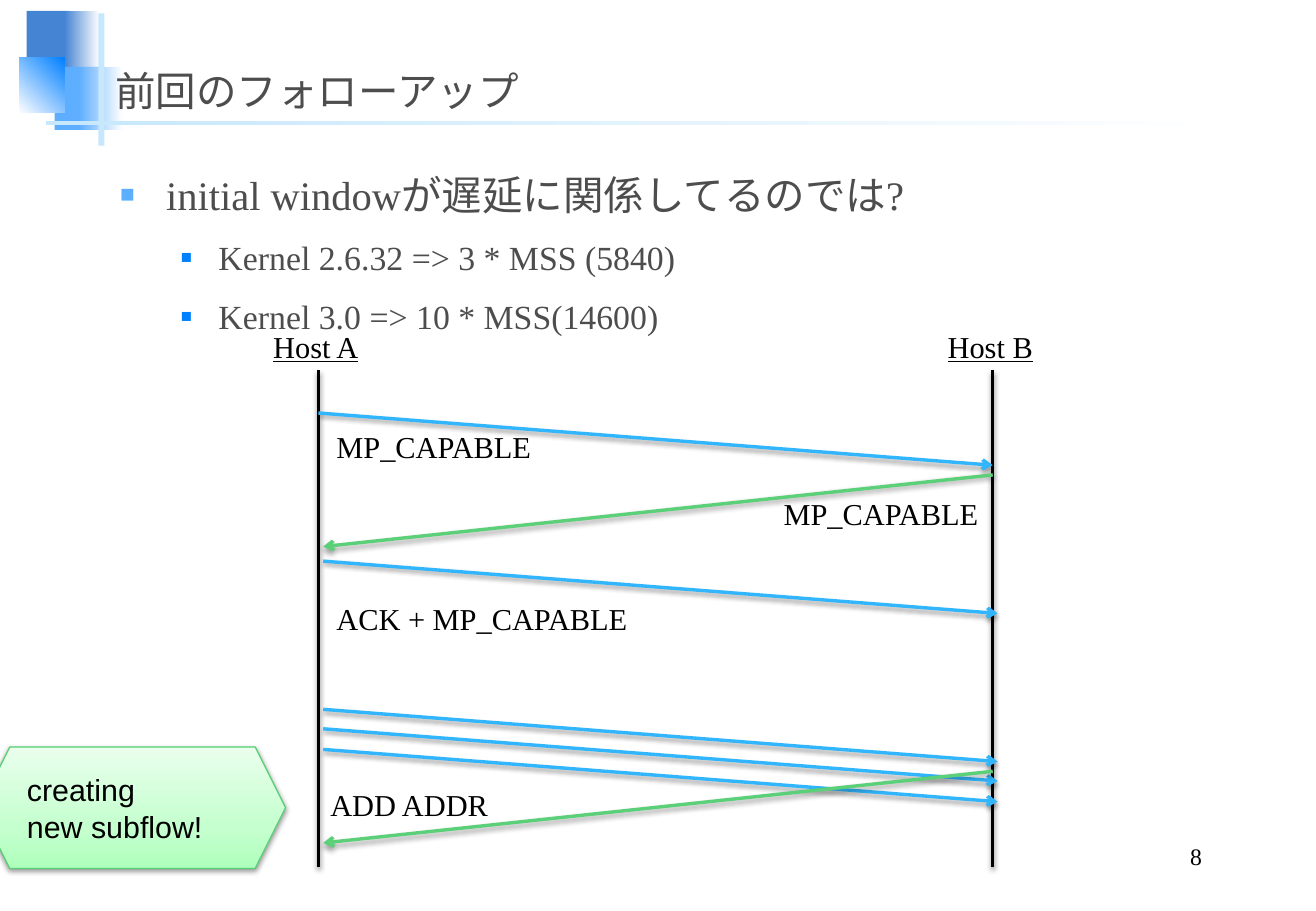
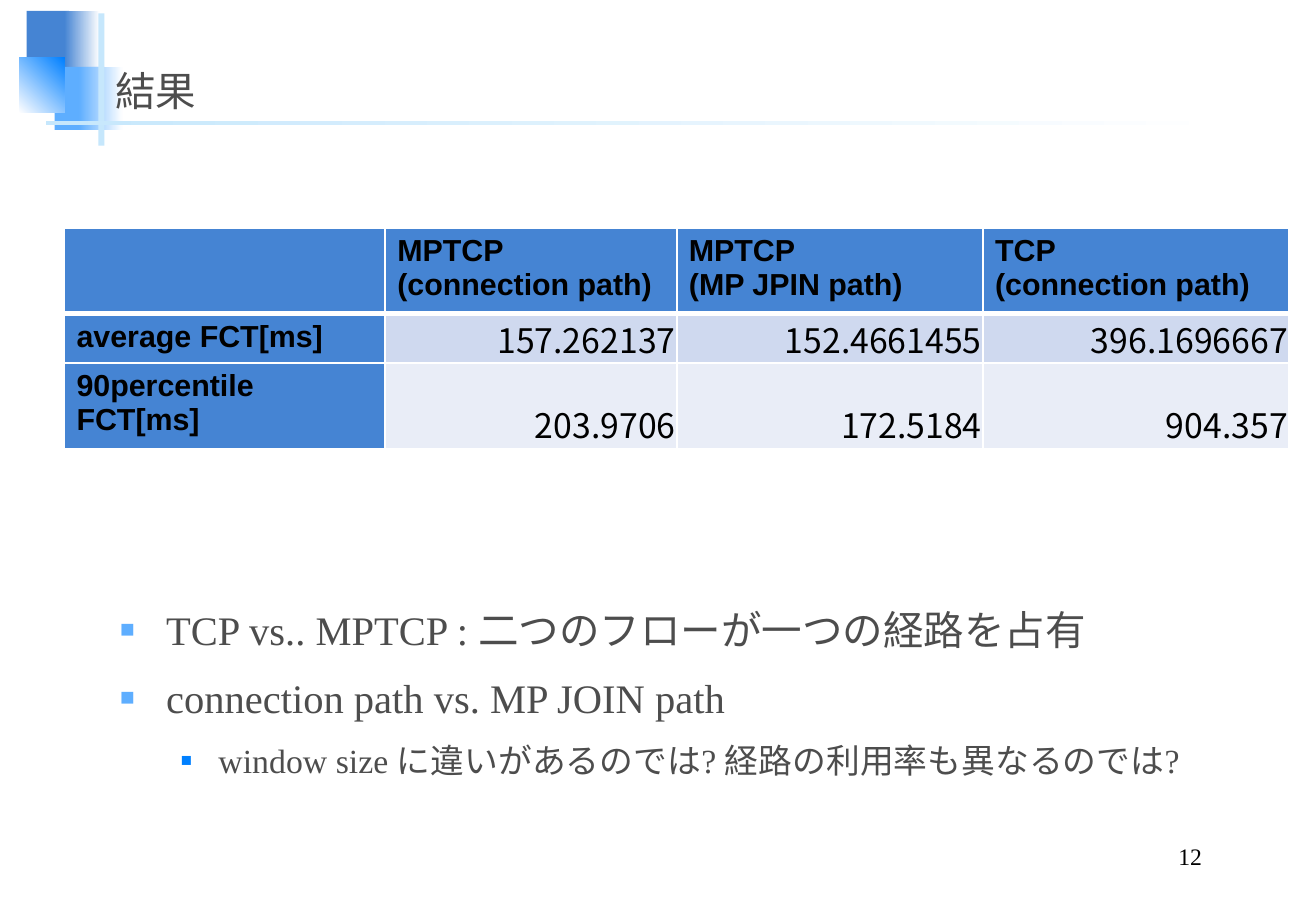
"""Builds two slides on a multipath follow-up: a message sequence and a result table."""
from dataclasses import dataclass

import lxml.etree
import pptx
import pptx.dml.color
import pptx.enum.shapes
import pptx.enum.text
import pptx.oxml.ns
import pptx.util

Inches = pptx.util.Inches
Pt = pptx.util.Pt
qn = pptx.oxml.ns.qn
Align = pptx.enum.text.PP_ALIGN
Anchor = pptx.enum.text.MSO_ANCHOR
Preset = pptx.enum.shapes.MSO_SHAPE


@dataclass(frozen=True)
class Theme:
    """Colours, fonts and type sizes shared by the slides."""
    serif: str = "Times New Roman"
    sans: str = "Arial"
    asian: str = "Noto Sans CJK JP"
    ink: str = "4D4D4D"
    black: str = "000000"
    white: str = "FFFFFF"
    navy: str = "4584D3"
    sky: str = "5EAEFF"
    azure: str = "0080FF"
    pale: str = "C6E7FC"
    request: str = "31B6FD"
    reply: str = "5BD078"
    note_line: str = "56CE74"
    note_stops: tuple = ((0, "AEFFBC"), (35, "C6FFCF"), (100, "E9FFEC"))
    rows: tuple = ("CFD9EF", "E9EDF7")
    heading: int = 24
    detail: int = 20
    label: int = 18
    number: int = 14


THEME = Theme()
HOST_A, HOST_B = 2.62, 8.17
HOST_TOP, HOST_BOTTOM = 3.05, 7.14


def rgb(color):
    """Turn a hex string into a colour."""
    return pptx.dml.color.RGBColor.from_string(color)


def add_node(parent, tag, **attributes):
    """Append a drawing element with the given attributes."""
    values = {name: str(value) for name, value in attributes.items()}
    return lxml.etree.SubElement(parent, qn(tag), values)


def add_color(parent, color):
    """Append an RGB colour element."""
    return add_node(parent, "a:srgbClr", val=color)


def style_para(para, size, color=THEME.black, font=THEME.serif, bold=None, underline=None):
    """Set the font of a whole paragraph."""
    para.font.size = Pt(size)
    para.font.color.rgb = rgb(color)
    para.font.name = font
    para.font.bold = bold
    para.font.underline = underline
    add_node(para.font._rPr, "a:ea", typeface=THEME.asian)


def add_shadow(shape):
    """Give a shape or connector the soft drop shadow."""
    effects = add_node(shape._element.spPr, "a:effectLst")
    shadow = add_node(effects, "a:outerShdw", blurRad=Pt(3.1), dist=Pt(1.6),
                      dir=5400000, rotWithShape=0)
    add_node(add_color(shadow, THEME.black), "a:alpha", val=38000)


def fill_gradient(shape, stops, angle):
    """Fill a shape with a linear gradient, the angle counted anticlockwise."""
    shape.fill.gradient()
    shape.fill.gradient_angle = angle
    stop_list = shape._element.spPr.find(qn("a:gradFill")).find(qn("a:gsLst"))
    for old in list(stop_list):
        stop_list.remove(old)
    for position, color in stops:
        add_color(add_node(stop_list, "a:gs", pos=position * 1000), color)


def add_block(page, box, start, end=None, angle=0):
    """Add a borderless rectangle, plain or fading between two colours."""
    block = page.shapes.add_shape(Preset.RECTANGLE, *map(Inches, box))
    block.shadow.inherit = False
    block.line.fill.background()
    if end:
        fill_gradient(block, ((0, start), (100, end)), angle)
    else:
        block.fill.solid()
        block.fill.fore_color.rgb = rgb(start)


def add_text(page, box, text, size, color=THEME.black, anchor=Anchor.TOP,
             align=Align.LEFT, wrap=True, underline=None):
    """Add a one-paragraph text box."""
    frame = page.shapes.add_textbox(*map(Inches, box)).text_frame
    frame.word_wrap = wrap
    frame.vertical_anchor = anchor
    if not wrap:
        frame.auto_size = pptx.enum.text.MSO_AUTO_SIZE.SHAPE_TO_FIT_TEXT
    para = frame.paragraphs[0]
    para.text = text
    para.alignment = align
    style_para(para, size, color, underline=underline)


def add_label(page, left, top, width, text, underline=None):
    """Add an unwrapped diagram label."""
    add_text(page, (left, top, width, 0.4), text, THEME.label, wrap=False, underline=underline)


def add_bullets(page, top, height, items):
    """Add the body list from pairs of level and text."""
    levels = ((0.38, 0.38, THEME.sky, 60, THEME.heading),
              (0.81, 0.31, THEME.azure, 55, THEME.detail))
    frame = page.shapes.add_textbox(*map(Inches, (0.89, top, 9.06, height))).text_frame
    frame.word_wrap = True
    for index, (level, text) in enumerate(items):
        para = frame.add_paragraph() if index else frame.paragraphs[0]
        margin, hanging, color, percent, size = levels[level]
        para.text = text
        para.level = level
        para.line_spacing = 1.2
        para.space_before = Pt(6)
        settings = para._p.get_or_add_pPr()
        settings.set("marL", str(Inches(margin)))
        settings.set("indent", str(-Inches(hanging)))
        add_color(add_node(settings, "a:buClr"), color)
        add_node(settings, "a:buSzPct", val=percent * 1000)
        add_node(settings, "a:buFont", typeface=THEME.sans)
        add_node(settings, "a:buChar", char="■")
        style_para(para, size, THEME.ink)


def add_page(deck, title, number):
    """Add a slide with the corner blocks, the title and the page number."""
    page = deck.slides.add_slide(deck.slide_layouts[6])
    add_block(page, (0.22, 0.09, 0.35, 0.52), THEME.navy)
    add_block(page, (0.53, 0.09, 0.29, 0.52), THEME.navy, THEME.white)
    add_block(page, (0.45, 0.55, 0.41, 0.52), THEME.sky)
    add_block(page, (0.65, 0.55, 0.36, 0.52), THEME.sky, THEME.white)
    add_block(page, (0.16, 0.47, 0.37, 0.46), THEME.white, THEME.azure, 45)
    add_block(page, (0.81, 0.11, 0.05, 1.09), THEME.pale)
    add_block(page, (0.38, 1, 9.75, 0.03), THEME.pale, THEME.white)
    add_text(page, (0.85, 0.36, 9.29, 0.63), title, THEME.heading, THEME.ink, Anchor.BOTTOM)
    add_text(page, (7.73, 6.9, 2.26, 0.31), str(number), THEME.number,
             anchor=Anchor.BOTTOM, align=Align.RIGHT)
    return page


def add_line(page, start, end, color, arrow=True):
    """Add a shadowed line, by default with an arrowhead at its end."""
    line = page.shapes.add_connector(pptx.enum.shapes.MSO_CONNECTOR.STRAIGHT,
                                     *map(Inches, (*start, *end)))
    line.line.color.rgb = rgb(color)
    line.line.width = Pt(2)
    if arrow:
        add_node(line.line._get_or_add_ln(), "a:tailEnd", type="arrow")
    add_shadow(line)


def add_request(page, top, shift=0.04):
    """Add an arrow from host A to host B."""
    add_line(page, (HOST_A + shift, top), (HOST_B + shift, top + 0.43), THEME.request)


def add_reply(page, top):
    """Add an arrow from host B to host A."""
    add_line(page, (HOST_B, top), (HOST_A + 0.04, top + 0.59), THEME.reply)


def add_note(page, box, text):
    """Add the green hexagon note."""
    note = page.shapes.add_shape(Preset.HEXAGON, *map(Inches, box))
    fill_gradient(note, THEME.note_stops, 90)
    note.line.color.rgb = rgb(THEME.note_line)
    note.line.width = Pt(0.75)
    add_shadow(note)
    note.text_frame.text = text
    for para in note.text_frame.paragraphs:
        para.alignment = Align.LEFT
        style_para(para, THEME.label, font=THEME.sans)


def style_cell(cell, row, column):
    """Set the borders, fill and type of a table cell by its place."""
    heavy = {0: "a:lnB", 1: "a:lnT"}.get(row)
    for side in ("a:lnL", "a:lnR", "a:lnT", "a:lnB"):
        border = add_node(cell._tc.get_or_add_tcPr(), side, w=Pt(3 if side == heavy else 1))
        add_color(add_node(border, "a:solidFill"), THEME.white)
    is_value = row > 0 and column > 0
    cell.fill.solid()
    cell.fill.fore_color.rgb = rgb(THEME.rows[row - 1] if is_value else THEME.navy)
    if is_value:
        cell.vertical_anchor = Anchor.BOTTOM
        cell.margin_left = cell.margin_top = cell.margin_right = Inches(0.01)
        cell.margin_bottom = 0
    for para in cell.text_frame.paragraphs:
        if is_value:
            para.alignment = Align.RIGHT
            style_para(para, THEME.detail, font=THEME.asian, bold=False)
        else:
            style_para(para, THEME.label, font=THEME.sans, bold=True)


def add_result_table(page, left, top, widths, row_height, rows):
    """Add the table with a header row and a header column."""
    frame = page.shapes.add_table(len(rows), len(widths), Inches(left), Inches(top),
                                  Inches(sum(widths)), Inches(row_height * len(rows)))
    table = frame.table
    table.first_col = True
    for column, width in enumerate(widths):
        table.columns[column].width = Inches(width)
    for row, texts in enumerate(rows):
        for column, text in enumerate(texts):
            cell = table.cell(row, column)
            cell.text = text
            style_cell(cell, row, column)


def build_sequence(deck):
    """Build the slide with the message sequence."""
    page = add_page(deck, "前回のフォローアップ", 8)
    add_bullets(page, 1.27, 5.32, (
        (0, "initial windowが遅延に関係してるのでは?"),
        (1, "Kernel 2.6.32 => 3 * MSS (5840)"),
        (1, "Kernel 3.0 => 10 * MSS(14600)"),
    ))
    for name, left in (("Host A", HOST_A), ("Host B", HOST_B)):
        add_label(page, left - 0.47, 2.65, 0.95, name, underline=True)
        add_line(page, (left, HOST_TOP), (left, HOST_BOTTOM), THEME.black, arrow=False)
    add_request(page, 3.4, shift=0)
    for top in (4.62, 5.84, 6, 6.17):
        add_request(page, top)
    for top in (3.91, 6.35):
        add_reply(page, top)
    for left, top, width, text in (
        (2.67, 3.48, 1.82, "MP_CAPABLE"),
        (6.35, 4.03, 1.82, "MP_CAPABLE"),
        (2.67, 4.89, 2.63, "ACK + MP_CAPABLE"),
        (2.62, 6.42, 1.53, "ADD ADDR"),
    ):
        add_label(page, left, top, width, text)
    add_note(page, (-0.17, 6.15, 2.52, 1), "creating\nnew subflow!")


def build_results(deck):
    """Build the slide with the result table."""
    page = add_page(deck, "結果", 12)
    add_bullets(page, 4.85, 2.05, (
        (0, "TCP vs.. MPTCP : 二つのフローが一つの経路を占有"),
        (0, "connection path vs. MP JOIN path"),
        (1, "window size に違いがあるのでは? 経路の利用率も異なるのでは?"),
    ))
    add_result_table(page, 0.53, 1.88, (2.64, 2.4, 2.52, 2.52), 0.41, (
        ("", "MPTCP\n(connection path)", "MPTCP\n(MP JPIN path)", "TCP\n(connection path)"),
        ("average FCT[ms]", "157.262137", "152.4661455", "396.1696667"),
        ("90percentile FCT[ms]", "203.9706", "172.5184", "904.357"),
    ))


def main():
    """Build and save the deck."""
    deck = pptx.Presentation()
    deck.slide_width = Inches(10.83)
    deck.slide_height = Inches(7.5)
    build_sequence(deck)
    build_results(deck)
    deck.save("out.pptx")


if __name__ == "__main__":
    main()
